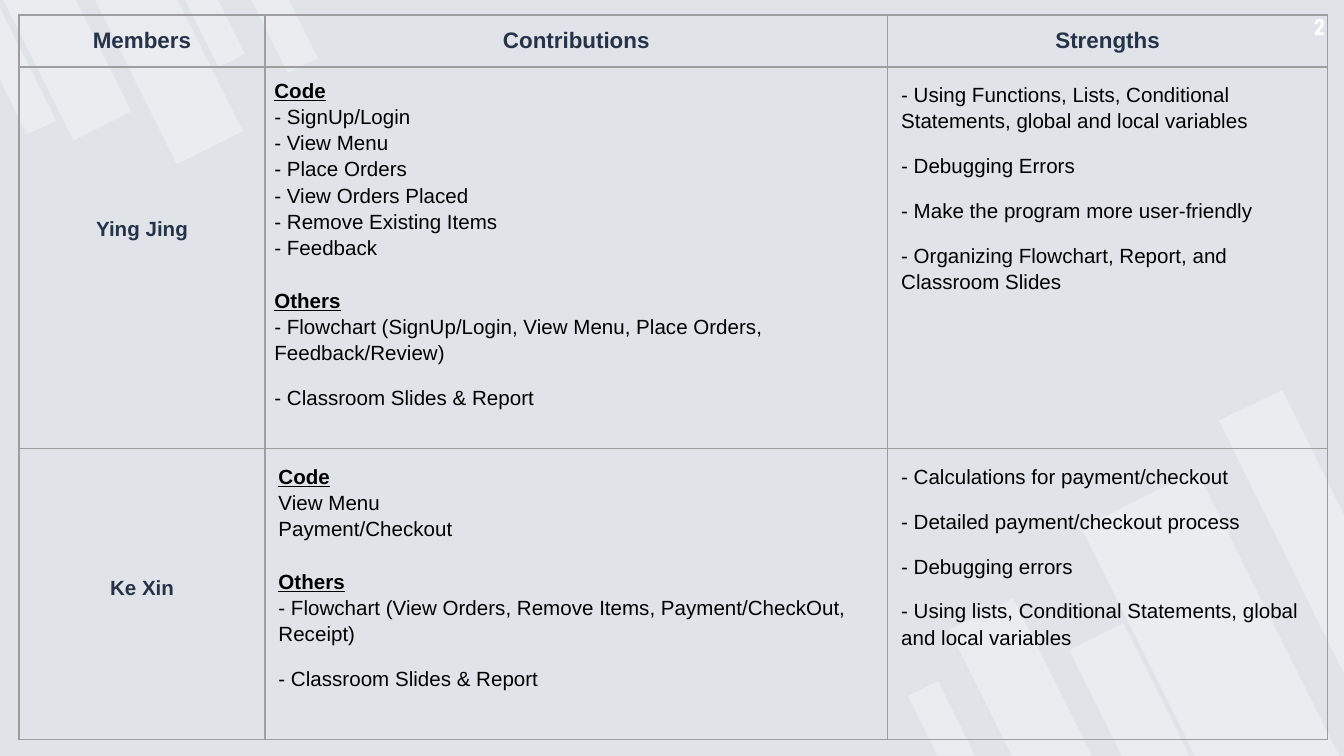
import pptx
import pptx.util
import pptx.dml.color
import pptx.enum.shapes
import pptx.enum.text
import pptx.oxml
import pptx.oxml.ns

Pt = pptx.util.Pt
RGB = pptx.dml.color.RGBColor
ALIGN = pptx.enum.text.PP_ALIGN
qn = pptx.oxml.ns.qn

BACKGROUND = RGB(0xE0, 0xE4, 0xE9)
WHITE = RGB(0xFF, 0xFF, 0xFF)
BLACK = RGB(0x00, 0x00, 0x00)
NAVY = RGB(0x26, 0x32, 0x48)
GRID = RGB(0x9E, 0x9E, 0x9E)

SLIDE_W, SLIDE_H = 720, 405
COLUMNS = (131.8, 333.6, 235.6)
ROWS = (27.8, 204.6, 155.8)
HEADERS = ("Members", "Contributions", "Strengths")

MEMBERS = [
    {
        "name": "Ying Jing",
        "name_top": 80.8,
        "inset": 5,
        "code": ["- SignUp/Login", "- View Menu", "- Place Orders",
                 "- View Orders Placed", "- Remove Existing Items", "- Feedback"],
        "others": ["- Flowchart (SignUp/Login, View Menu, Place Orders, Feedback/Review)",
                   "- Classroom Slides & Report"],
        "strengths": ["- Using Functions, Lists, Conditional Statements, global and local variables",
                      "- Debugging Errors",
                      "- Make the program more user-friendly",
                      "- Organizing Flowchart, Report, and Classroom Slides"],
    },
    {
        "name": "Ke Xin",
        "name_top": 68.5,
        "inset": 7.2,
        "code": ["View Menu", "Payment/Checkout"],
        "others": ["- Flowchart (View Orders, Remove Items, Payment/CheckOut, Receipt)",
                   "- Classroom Slides & Report"],
        "strengths": ["- Calculations for payment/checkout",
                      "- Detailed payment/checkout process",
                      "- Debugging errors",
                      "- Using lists, Conditional Statements, global and local variables"],
    },
]

TOP_BARS = [(107.3, -5.8, 15.8, 40.3), (18.7, -13, 34.6, 85),
            (70.6, -14.4, 39.6, 98.6), (143.3, -7.2, 18, 44.6)]
TOP_EDGE = [(14.4, 72), (30.2, 64.8), (0, 4.3), (0, 42.5)]
BOTTOM_BARS = [(32.8, 115, 38.2, 95), (119.2, 49.5, 69.1, 172.1),
               (94, 128, 32.4, 79.9), (0.4, 157.5, 18, 44.6)]
BOTTOM_EDGE = [(191.9, 0), (158, 16.4), (225, 151.7), (225, 66.8)]


def style_bar(sp):
    """Give a decorative bar its translucent white fill."""
    sp.shadow.inherit = False
    sp.line.fill.background()
    sp.fill.solid()
    sp.fill.fore_color.rgb = WHITE
    color = sp._element.spPr.find(qn("a:solidFill"))[0]
    pptx.oxml.ns  # namespace helpers
    color.append(pptx.oxml.parse_xml(
        '<a:alpha xmlns:a="http://schemas.openxmlformats.org/drawingml/2006/main" val="33000"/>'))


def add_bars(s, left, top, bars, edge, rotation):
    """Draw a cluster of slanted bars and the one cut by the slide edge."""
    for x, y, w, h in bars:
        sp = s.shapes.add_shape(pptx.enum.shapes.MSO_SHAPE.FLOWCHART_MANUAL_INPUT,
                                Pt(left + x), Pt(top + y), Pt(w), Pt(h))
        sp.rotation = rotation
        sp._element.spPr.find(qn("a:xfrm")).set("flipH", "1")
        style_bar(sp)
    points = [(Pt(left + x), Pt(top + y)) for x, y in edge]
    builder = s.shapes.build_freeform(*points[0])
    builder.add_line_segments(points[1:], close=True)
    style_bar(builder.convert_to_shape())


def add_run(p, text, size=11, color=BLACK, bold=False, underline=False, font="Arial"):
    """Append one formatted run to a paragraph."""
    r = p.add_run()
    r.text = text
    r.font.name = font
    r.font.size = Pt(size)
    r.font.bold = bold
    r.font.underline = underline
    r.font.color.rgb = color


def add_line(tf, text, before=0, after=0, heading=False):
    """Add a body line, reusing the first paragraph while it is empty."""
    p = tf.paragraphs[0] if not tf.text else tf.add_paragraph()
    p.line_spacing = 1.15
    p.space_before = Pt(before)
    p.space_after = Pt(after)
    add_run(p, text, bold=heading, underline=heading)


def style_cell(cell, inset=7.2):
    """Clear the fill, set the margins and draw the grid lines of a cell."""
    cell.margin_left = cell.margin_right = Pt(inset)
    cell.margin_top = cell.margin_bottom = Pt(inset)
    tc_pr = cell._tc.get_or_add_tcPr()
    for side in ("L", "R", "T", "B"):
        tc_pr.append(pptx.oxml.parse_xml(
            f'<a:ln{side} xmlns:a="http://schemas.openxmlformats.org/drawingml/2006/main" '
            f'w="{Pt(0.75)}"><a:solidFill><a:srgbClr val="{GRID}"/></a:solidFill></a:ln{side}>'))
    cell.fill.background()


def fill_label(cell, text, size):
    """Write a centred bold label in a cell."""
    p = cell.text_frame.paragraphs[0]
    p.alignment = ALIGN.CENTER
    add_run(p, text, size, NAVY, bold=True)


def fill_member(cells, member):
    """Write the name, contributions and strengths of one member."""
    name, work, strengths = cells
    style_cell(name)
    name.margin_top = Pt(member["name_top"])
    fill_label(name, member["name"], 11)
    style_cell(work, member["inset"])
    tf = work.text_frame
    add_line(tf, "Code", heading=True)
    for text in member["code"]:
        add_line(tf, text)
    add_line(tf, "Others", before=14, heading=True)
    for text in member["others"]:
        add_line(tf, text, after=10)
    style_cell(strengths)
    for text in member["strengths"]:
        add_line(strengths.text_frame, text, after=10)


def add_members_table(s, left, top):
    """Place the table of members, contributions and strengths."""
    table = s.shapes.add_table(len(ROWS), len(COLUMNS), Pt(left), Pt(top),
                               Pt(sum(COLUMNS)), Pt(sum(ROWS))).table
    table.first_row = table.horz_banding = False
    for column, width in zip(table.columns, COLUMNS):
        column.width = Pt(width)
    for row, height in zip(table.rows, ROWS):
        row.height = Pt(height)
    for cell, text in zip(table.rows[0].cells, HEADERS):
        style_cell(cell)
        fill_label(cell, text, 12)
    for i, member in enumerate(MEMBERS, 1):
        fill_member(table.rows[i].cells, member)


def add_page_number(s, left, top, width, height):
    """Place the slide number in its box."""
    tf = s.shapes.add_textbox(Pt(left), Pt(top), Pt(width), Pt(height)).text_frame
    tf.word_wrap = True
    tf.margin_left = tf.margin_right = tf.margin_top = tf.margin_bottom = Pt(7.2)
    p = tf.paragraphs[0]
    p.alignment = ALIGN.RIGHT
    add_run(p, "2", 12, WHITE, bold=True, font="Roboto Condensed")


def main():
    """Build the slide and save it."""
    prs = pptx.Presentation()
    prs.slide_width, prs.slide_height = Pt(SLIDE_W), Pt(SLIDE_H)
    s = prs.slides.add_slide(prs.slide_layouts[6])
    s.background.fill.solid()
    s.background.fill.fore_color.rgb = BACKGROUND
    add_bars(s, 495, 209, BOTTOM_BARS, BOTTOM_EDGE, 153.5)
    add_bars(s, 0, 0, TOP_BARS, TOP_EDGE, 333.5)
    add_members_table(s, 10.2, 8)
    add_page_number(s, 674, 0, 43, 31)
    prs.save("out.pptx")


if __name__ == "__main__":
    main()
